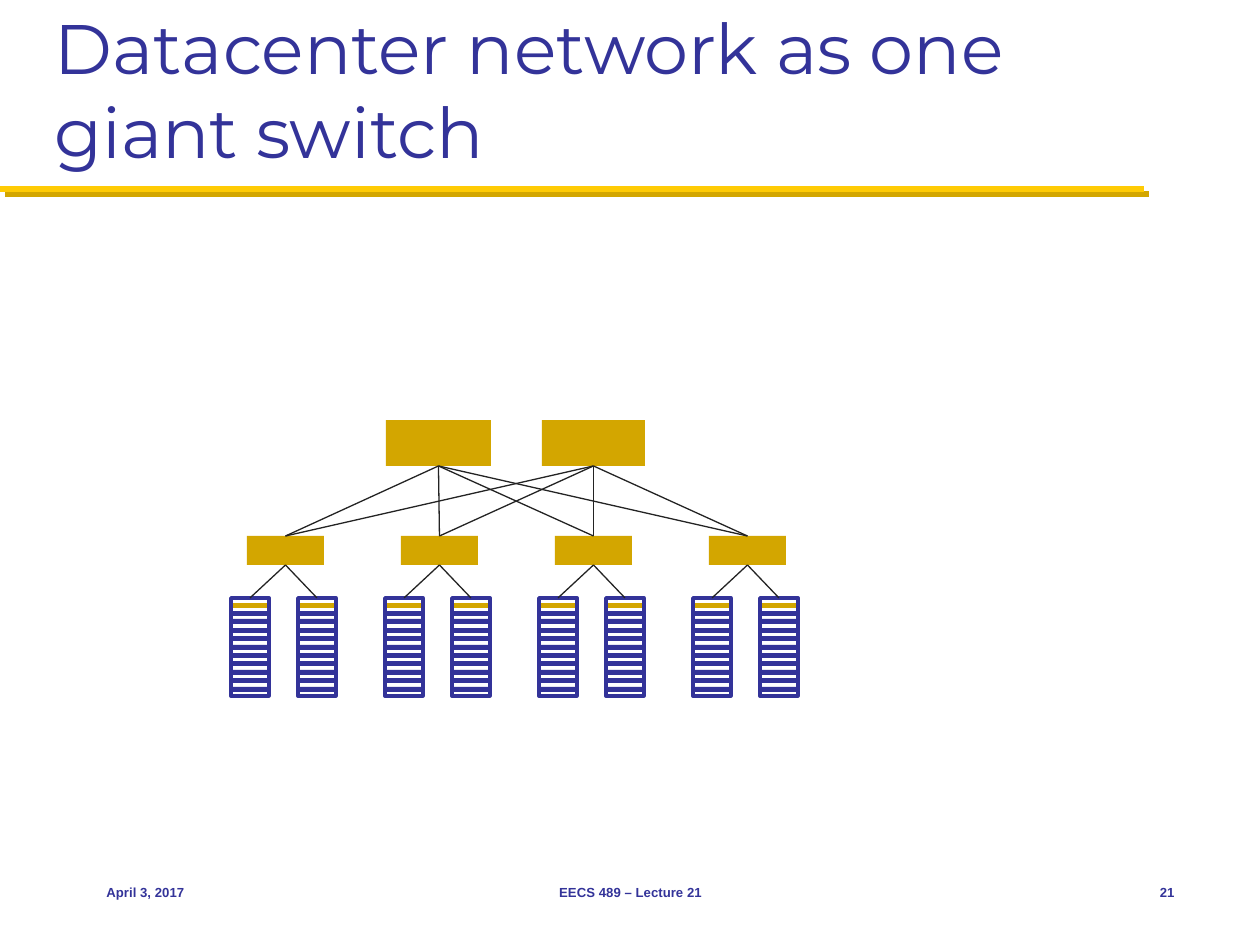
from dataclasses import dataclass

from lxml import etree
from pptx import Presentation
from pptx import util as u
from pptx.dml.color import RGBColor
from pptx.enum import shapes, text
from pptx.oxml import ns
from pptx.shapes.autoshape import Shape
from pptx.shapes.connector import Connector

EMU_PER_PX = 914400 / 126
NAVY = RGBColor(0x33, 0x33, 0x99)
GOLD = RGBColor(0xD3, 0xA6, 0x00)
MAIZE = RGBColor(0xFF, 0xCB, 0x05)
INK = RGBColor(0x23, 0x23, 0x23)
TOP, BOTTOM = 0, 2

POD_COUNT = 4
POD_PITCH = 154
BAR_COUNT = 11


@dataclass(frozen=True)
class Box:
    left: int
    top: int
    width: int
    height: int

    def shifted(self, across: int = 0, down: int = 0) -> "Box":
        return Box(self.left + across, self.top + down, self.width, self.height)


@dataclass(frozen=True)
class Label:
    words: str
    box: Box
    size: float
    font: str
    bold: bool = True
    align: text.PP_ALIGN = text.PP_ALIGN.LEFT
    anchor: text.MSO_ANCHOR = text.MSO_ANCHOR.MIDDLE


LABELS = [
    Label("Datacenter network as one giant switch", Box(42, 21, 1176, 158), 40,
          "Montserrat", bold=False, anchor=text.MSO_ANCHOR.BOTTOM),
    Label("April 3, 2017", Box(94, 861, 262, 63), 7.5, "Arial"),
    Label("EECS 489 – Lecture 21", Box(431, 861, 399, 63), 7.5, "Arial",
          align=text.PP_ALIGN.CENTER),
    Label("21", Box(1103, 861, 84, 63), 7.5, "Arial", align=text.PP_ALIGN.RIGHT),
]
CORE_SWITCHES = [Box(386, 420, 105, 46), Box(542, 420, 103, 46)]
POD_SWITCH = Box(247, 536, 77, 29)
POD_RACKS = [Box(231, 598, 38, 98), Box(298, 598, 38, 98)]
RACK_BAR = Box(2, 5, 34, 5)


def px(length: int) -> u.Emu:
    return u.Emu(round(length * EMU_PER_PX))


def edges(box: Box) -> tuple[u.Emu, u.Emu, u.Emu, u.Emu]:
    return px(box.left), px(box.top), px(box.width), px(box.height)


def add_label(slide, label: Label) -> None:
    frame = slide.shapes.add_textbox(*edges(label.box)).text_frame
    frame.word_wrap = True
    frame.vertical_anchor = label.anchor
    frame.text = label.words
    paragraph = frame.paragraphs[0]
    paragraph.alignment = label.align
    font = paragraph.runs[0].font
    font.name = label.font
    font.size = u.Pt(label.size)
    font.bold = label.bold
    font.color.rgb = NAVY


def add_rectangle(slide, box: Box) -> Shape:
    rectangle = slide.shapes.add_shape(shapes.MSO_SHAPE.RECTANGLE, *edges(box))
    rectangle.shadow.inherit = False
    return rectangle


def add_block(slide, box: Box, color: RGBColor) -> Shape:
    block = add_rectangle(slide, box)
    block.fill.solid()
    block.fill.fore_color.rgb = color
    block.line.fill.background()
    return block


def add_rack(slide, box: Box) -> Shape:
    for index in range(BAR_COUNT):
        bar = RACK_BAR.shifted(box.left, box.top + index * 84 // 10)
        add_block(slide, bar, NAVY if index else GOLD)
    frame = add_rectangle(slide, box)
    frame.fill.background()
    frame.line.color.rgb = NAVY
    frame.line.width = u.Pt(2)
    return frame


def add_line(slide, color: RGBColor, width: float) -> tuple[Connector, etree._Element]:
    line = slide.shapes.add_connector(shapes.MSO_CONNECTOR.STRAIGHT, 0, 0, 0, 0)
    line.line.color.rgb = color
    line.line.width = u.Pt(width)
    properties = line._element.spPr
    return line, etree.SubElement(properties, ns.qn("a:effectLst"))


def add_link(slide, lower: Shape, upper: Shape) -> None:
    link, _ = add_line(slide, INK, 0.75)
    link.begin_connect(lower, TOP)
    link.end_connect(upper, BOTTOM)


def add_title_rule(slide) -> None:
    rule, effects = add_line(slide, MAIZE, 3.5)
    rule.begin_x, rule.begin_y = px(0), px(189)
    rule.end_x, rule.end_y = px(1144), px(189)
    shadow = etree.SubElement(effects, ns.qn("a:outerShdw"), blurRad="0",
                              dist=str(u.Pt(4.2)), dir="2700000",
                              algn="ctr", rotWithShape="0")
    etree.SubElement(shadow, ns.qn("a:srgbClr"), val=str(GOLD))


def add_pod(slide, offset: int) -> Shape:
    racks = [add_rack(slide, box.shifted(offset)) for box in POD_RACKS]
    switch = add_block(slide, POD_SWITCH.shifted(offset), GOLD)
    for rack in racks:
        add_link(slide, rack, switch)
    return switch


def main() -> None:
    presentation = Presentation()
    presentation.slide_width = px(1260)
    presentation.slide_height = px(945)
    slide = presentation.slides.add_slide(presentation.slide_layouts[6])

    add_title_rule(slide)
    for label in LABELS:
        add_label(slide, label)

    pod_switches = [add_pod(slide, index * POD_PITCH) for index in range(POD_COUNT)]
    for box in CORE_SWITCHES:
        core = add_block(slide, box, GOLD)
        for switch in pod_switches:
            add_link(slide, switch, core)

    presentation.save("out.pptx")


if __name__ == "__main__":
    main()
